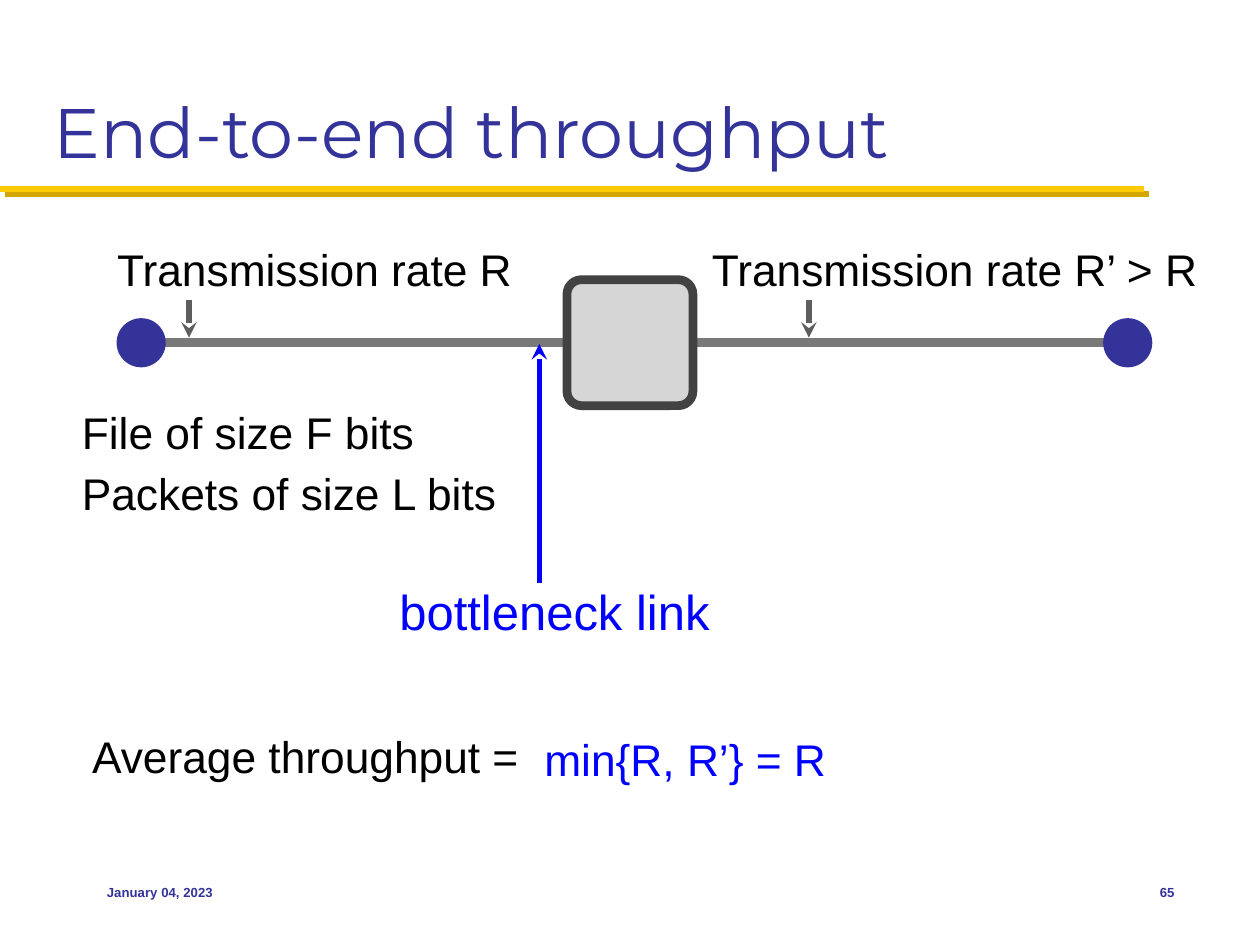
from pptx import Presentation
from pptx.dml.color import RGBColor
from pptx.enum.shapes import MSO_CONNECTOR as Link, MSO_SHAPE as Shape
from pptx.enum.text import MSO_ANCHOR as Anchor, PP_ALIGN as Align
from pptx.oxml import parse_xml
from pptx.oxml.ns import nsdecls
from pptx.util import Inches, Pt

NAVY, BLUE, BLACK = "333399", "0000FF", "000000"
GOLD, DARK_GOLD = "FFCB05", "D3A600"
LINK_GREY, ARROW_GREY = "797979", "5E5E5E"
LINK_Y = 2.72
NODE_SIZE = 0.39

RULE_SHADOW = (
    f'<a:outerShdw dist="{Pt(4.2)}" dir="2700000" algn="ctr" rotWithShape="0">'
    f'<a:srgbClr val="{DARK_GOLD}"/></a:outerShdw>'
)


def color(value):
    return RGBColor.from_string(value)


def add_text(page, text, left, top, width, height=0.5, size=25.3, fill=BLACK,
             font="Arial", bold=False, insets=(0.04, 0.04),
             anchor=Anchor.MIDDLE, align=Align.LEFT, wrap=True):
    box = page.shapes.add_textbox(Inches(left), Inches(top), Inches(width), Inches(height))
    frame = box.text_frame
    frame.word_wrap = wrap
    frame.vertical_anchor = anchor
    frame.margin_left = frame.margin_right = Inches(insets[0])
    frame.margin_top = frame.margin_bottom = Inches(insets[1])
    para = frame.paragraphs[0]
    para.text = text
    para.alignment = align
    para.font.name = font
    para.font.size = Pt(size)
    para.font.bold = bold
    para.font.color.rgb = color(fill)


def add_line(page, start, end, stroke, weight, effect=""):
    """Draw a straight line whose only effect is the given XML."""
    line = page.shapes.add_connector(Link.STRAIGHT, *map(Inches, start + end))
    line.line.color.rgb = color(stroke)
    line.line.width = Pt(weight)
    line._element.spPr.append(
        parse_xml(f'<a:effectLst {nsdecls("a")}>{effect}</a:effectLst>'))
    return line


def add_arrow(page, start, tip, stroke):
    arrow = add_line(page, start, tip, stroke, 3)
    arrow.line._get_or_add_ln().append(
        parse_xml(f'<a:tailEnd {nsdecls("a")} type="stealth"/>'))


def add_solid(page, kind, center_x, size, fill):
    """Add a square-bounded shape centred on the link."""
    solid = page.shapes.add_shape(
        kind, Inches(center_x - size / 2), Inches(LINK_Y - size / 2),
        Inches(size), Inches(size))
    solid.shadow.inherit = False
    solid.fill.solid()
    solid.fill.fore_color.rgb = color(fill)
    solid.line.fill.background()
    return solid


def add_router(page):
    router = add_solid(page, Shape.ROUNDED_RECTANGLE, 5, 1, "D6D6D6")
    router.adjustments[0] = 0.115
    router.line.color.rgb = color("424242")
    router.line.width = Pt(5)


def add_network(page):
    add_line(page, (1.18, LINK_Y), (8.98, LINK_Y), LINK_GREY, 5)
    for center_x in (1.12, 8.95):
        add_solid(page, Shape.OVAL, center_x, NODE_SIZE, NAVY)
    add_router(page)
    for x in (1.5, 6.42):
        add_arrow(page, (x, 2.38), (x, 2.68), ARROW_GREY)
    add_arrow(page, (4.28, 4.63), (4.28, 2.73), BLUE)


def add_labels(page):
    add_text(page, "Transmission rate R", 0.89, 1.88, 3.27)
    add_text(page, "Transmission rate R’ > R", 5.61, 1.88, 4.22)
    add_text(page, "File of size F bits", 0.61, 3.18, 3.34)
    add_text(page, "Packets of size L bits", 0.61, 3.66, 3.73)
    add_text(page, "bottleneck link", 3.11, 4.56, 4.5, 0.58, size=28, fill=BLUE,
             insets=(0.06, 0.06))
    add_text(page, "Average throughput =", 0.69, 5.75, 4.89)
    add_text(page, "min{R, R’} = R", 4.28, 5.77, 2.39, fill=BLUE)


def add_frame(page):
    """Add the title, its rule and the footer."""
    add_line(page, (0, 1.5), (9.08, 1.5), GOLD, 3.5, RULE_SHADOW)
    add_text(page, "End-to-end throughput", 0.33, 0.17, 9.33, 1.25, size=40, fill=NAVY,
             font="Montserrat", insets=(0.1, 0.05), anchor=Anchor.BOTTOM)
    for text, left, width, align in (("January 04, 2023", 0.75, 2.08, Align.LEFT),
                                     ("65", 8.75, 0.67, Align.RIGHT)):
        add_text(page, text, left, 6.83, width, size=7.5, fill=NAVY, bold=True,
                 insets=(0.1, 0.05), align=align)


def main():
    deck = Presentation()
    deck.slide_width, deck.slide_height = Inches(10), Inches(7.5)
    page = deck.slides.add_slide(deck.slide_layouts[6])
    add_frame(page)
    add_network(page)
    add_labels(page)
    deck.save("out.pptx")


if __name__ == "__main__":
    main()
